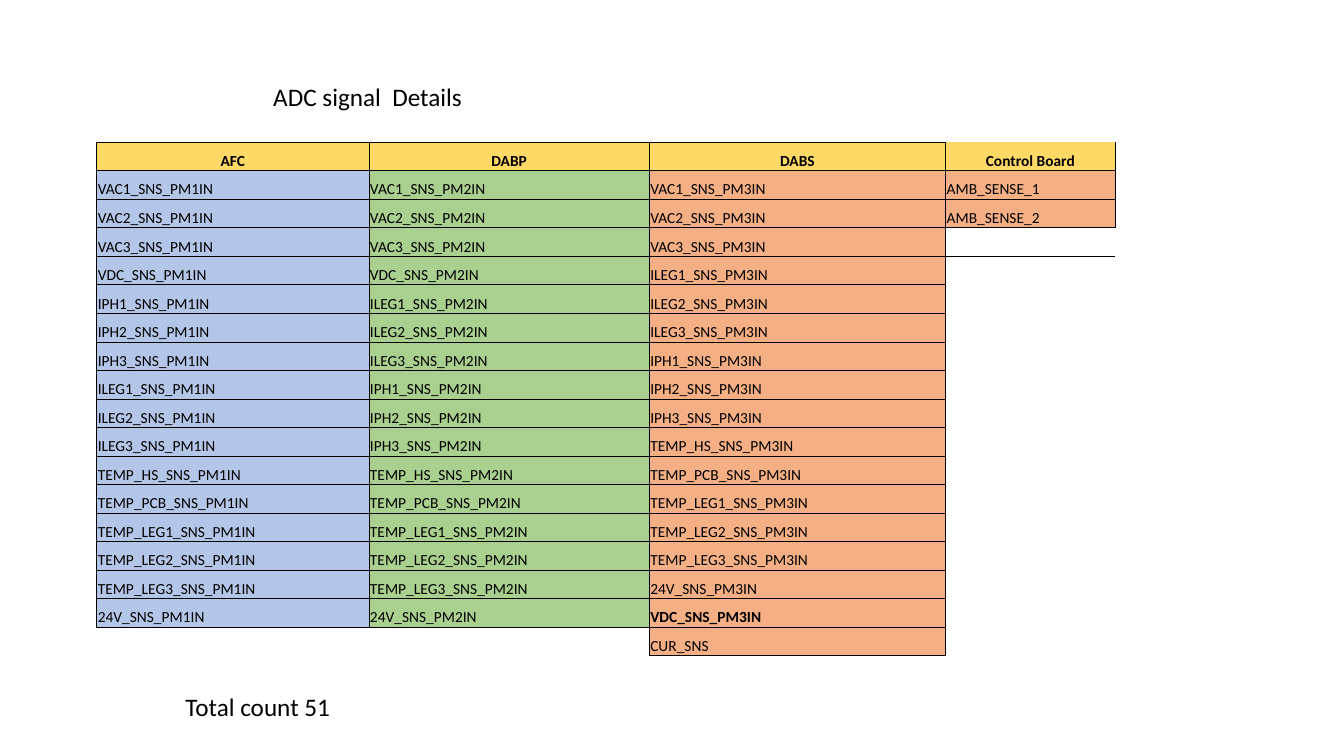
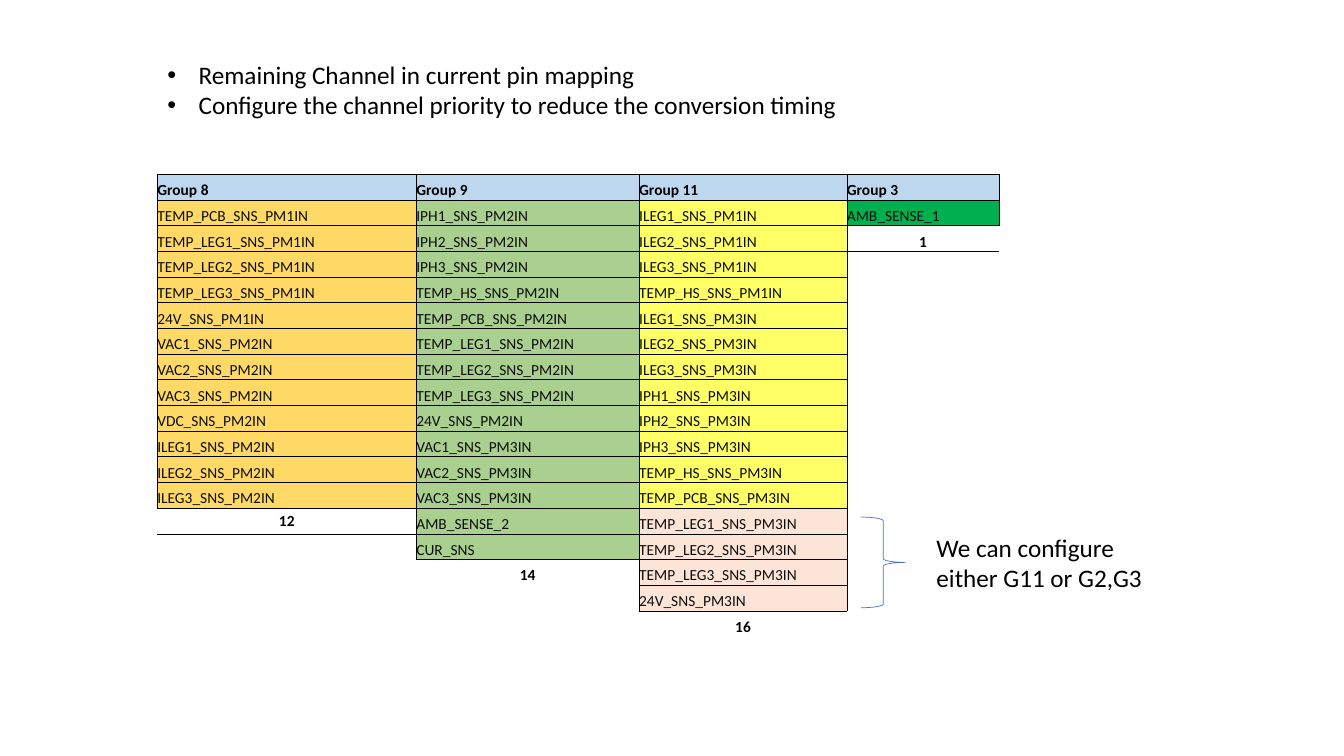
from dataclasses import dataclass
from lxml import etree
from pptx import Presentation, util as u
from pptx.dml.color import RGBColor
from pptx.enum import shapes as sh, text as tx
from pptx.oxml.ns import qn


@dataclass(frozen=True)
class Theme:
    font: str = "Calibri"
    big: int = 18
    small: int = 11
    black: str = "000000"
    ink: str = "0D0D0D"
    gold: str = "FFD966"
    blue: str = "B4C6E7"
    sky: str = "BDD7EE"
    green: str = "A9D08E"
    vivid: str = "00B050"
    orange: str = "F4B084"
    peach: str = "FCE4D6"
    yellow: str = "FFFF66"
    brace: str = "4472C4"
    rule: float = 0.5
    plain: str = "{2D5ABB26-0587-4C30-8999-92F81FD0307C}"


T = Theme()
CENTER, LEFT = tx.PP_ALIGN.CENTER, tx.PP_ALIGN.LEFT
BOTTOM, MIDDLE = tx.MSO_ANCHOR.BOTTOM, tx.MSO_ANCHOR.MIDDLE
SIDES = {"L": (0, -1), "R": (0, 1), "T": (-1, 0), "B": (1, 0)}


@dataclass
class Item:
    text: str
    fill: str = ""
    color: str = T.black
    bold: bool = False
    align: int = LEFT
    anchor: int = BOTTOM


def assign(target, values):
    for key, value in values.items():
        setattr(target, key, value)


def place(shape, box):
    names = ("left", "top", "width", "height")
    assign(shape, dict(zip(names, map(u.Inches, box))))


def write(para, words, size, color=T.black, bold=False, align=LEFT):
    assign(para, {"alignment": align, "space_before": u.Pt(0)})
    run = para.add_run()
    run.text = words
    assign(run.font, {"name": T.font, "size": u.Pt(size), "bold": bold})
    run.font.color.rgb = RGBColor.from_string(color)


# Large text: title, bullets and notes beside the tables
def label(shape, box, lines, bullet=False):
    place(shape, box)
    frame = shape.text_frame
    assign(frame, {"word_wrap": True, "auto_size": tx.MSO_AUTO_SIZE.NONE,
                   "vertical_anchor": tx.MSO_ANCHOR.TOP})
    for i, line in enumerate(lines):
        para = frame.add_paragraph() if i else frame.paragraphs[0]
        write(para, line, T.big)
        if bullet:
            props = para._p.get_or_add_pPr()
            props.set("marL", str(u.Inches(0.31)))
            props.set("indent", str(u.Inches(-0.31)))


def note(slide, box, words):
    label(slide.shapes.add_textbox(0, 0, 0, 0), box, [words])


# Signal tables
def pins(unit, names):
    return [f"{name}_SNS_PM{unit}IN" for name in names.split()]


def stack(names, fill, color=T.black):
    return [Item(name, fill, color) for name in names]


def total(items, anchor=BOTTOM):
    return Item(str(len(items)), bold=True, align=CENTER, anchor=anchor)


def edge(cell, side):
    line = etree.SubElement(cell._tc.get_or_add_tcPr(), qn(f"a:ln{side}"),
                            w=str(u.Pt(T.rule)))
    solid = etree.SubElement(line, qn("a:solidFill"))
    etree.SubElement(solid, qn("a:srgbClr"), val=T.black)


def grid(slide, box, widths, cols, inset, bare):
    count = max(map(len, cols))
    frame = slide.shapes.add_table(count, len(cols), *map(u.Inches, box))
    table = frame.table
    assign(table, {"first_row": False, "horz_banding": False})
    table._tbl.tblPr.find(qn("a:tableStyleId")).text = T.plain
    for col, width in zip(table.columns, widths):
        col.width = u.Inches(width)
    for row in table.rows:
        row.height = u.Inches(box[3] / count)
    items = {(r, c): item for c, col in enumerate(cols)
             for r, item in enumerate(col)}
    filled = {spot for spot, item in items.items() if item.fill}
    for r in range(count):
        for c in range(len(cols)):
            cell, item = table.cell(r, c), items.get((r, c), Item(""))
            pad = u.Inches(inset)
            assign(cell, {"margin_left": pad, "margin_top": pad,
                          "margin_right": pad, "margin_bottom": 0,
                          "vertical_anchor": item.anchor})
            # A rule runs along each side that touches a filled cell
            for side, (down, across) in SIDES.items():
                near = {(r, c), (r + down, c + across)}
                if near & filled and (r, c, side) not in bare:
                    edge(cell, side)
            if item.fill:
                cell.fill.solid()
                cell.fill.fore_color.rgb = RGBColor.from_string(item.fill)
            else:
                cell.fill.background()
            para = cell.text_frame.paragraphs[0]
            if item.text:
                write(para, item.text, T.small, item.color, item.bold,
                      item.align)
            else:
                etree.SubElement(para._p, qn("a:endParaRPr"),
                                 sz=str(T.small * 100))


# Slide 1: signals by board
def signals(deck):
    slide = deck.slides.add_slide(deck.slide_layouts[5])
    label(slide.shapes.title, (2.61, 0.76, 6.59, 0.4),
          ["ADC signal  Details"])
    vac, leg, phase = "VAC1 VAC2 VAC3", "ILEG1 ILEG2 ILEG3", "IPH1 IPH2 IPH3"
    temp = "TEMP_HS TEMP_PCB TEMP_LEG1 TEMP_LEG2 TEMP_LEG3 24V"
    boards = {
        "AFC": (pins(1, f"{vac} VDC {phase} {leg} {temp}"), T.blue),
        "DABP": (pins(2, f"{vac} VDC {leg} {phase} {temp}"), T.green),
        "DABS": (pins(3, f"{vac} {leg} {phase} {temp} VDC") + ["CUR_SNS"],
                 T.orange),
        "Control Board": (["AMB_SENSE_1", "AMB_SENSE_2"], T.orange),
    }
    cols = [[Item(head, T.gold, bold=True, align=CENTER)] + stack(*body)
            for head, body in boards.items()]
    cols[2][-2].bold = True
    grid(slide, (0.96, 1.41, 10.1, 5.1), (2.7, 2.78, 2.94, 1.68), cols,
         0.01, {(0, 3, "T")})
    note(slide, (1.74, 6.81, 7.46, 0.4), "Total count 51")


# Slide 2: channels by group
def groups(deck):
    slide = deck.slides.add_slide(deck.slide_layouts[1])
    title = slide.shapes.title._element
    title.getparent().remove(title)
    label(slide.placeholders[1], (1.56, 0.54, 7.79, 0.71),
          ["Remaining Channel in current pin mapping",
           "Configure the channel priority to reduce the conversion timing"],
          bullet=True)
    legs = "TEMP_LEG1 TEMP_LEG2 TEMP_LEG3 24V"
    bodies = {
        "Group 8": stack(pins(1, f"TEMP_PCB {legs}") + pins(
            2, "VAC1 VAC2 VAC3 VDC ILEG1 ILEG2 ILEG3"), T.gold, T.ink),
        "Group 9": stack(
            pins(2, f"IPH1 IPH2 IPH3 TEMP_HS TEMP_PCB {legs}")
            + pins(3, "VAC1 VAC2 VAC3") + ["AMB_SENSE_2", "CUR_SNS"],
            T.green, T.ink),
        "Group 11": stack(
            pins(1, "ILEG1 ILEG2 ILEG3 TEMP_HS")
            + pins(3, "ILEG1 ILEG2 ILEG3 IPH1 IPH2 IPH3 TEMP_HS TEMP_PCB"),
            T.yellow, T.ink) + stack(pins(3, legs), T.peach, T.ink),
        "Group 3": stack(["AMB_SENSE_1"], T.vivid, T.ink),
    }
    cols = [[Item(head, T.sky, bold=True), *body, total(body)]
            for head, body in bodies.items()]
    cols[0][-1].anchor = MIDDLE
    # Brace and its remark
    brace = slide.shapes.add_shape(sh.MSO_SHAPE.RIGHT_BRACE, 0, 0, 0, 0)
    place(brace, (8.54, 5.13, 0.44, 0.9))
    brace.shadow.inherit = False
    brace.fill.background()
    brace.line.color.rgb = RGBColor.from_string(T.brace)
    brace.line.width = u.Pt(T.rule)
    note(slide, (9.19, 5.23, 2.43, 0.71),
         "We can configure either G11 or G2,G3")
    grid(slide, (1.56, 1.73, 8.35, 4.59), (2.57, 2.21, 2.06, 1.51), cols,
         0, {(14, 1, "B"), (15, 1, "T")})


deck = Presentation()
assign(deck, {"slide_width": u.Inches(13.33), "slide_height": u.Inches(7.5)})
signals(deck)
groups(deck)
deck.save("out.pptx")
